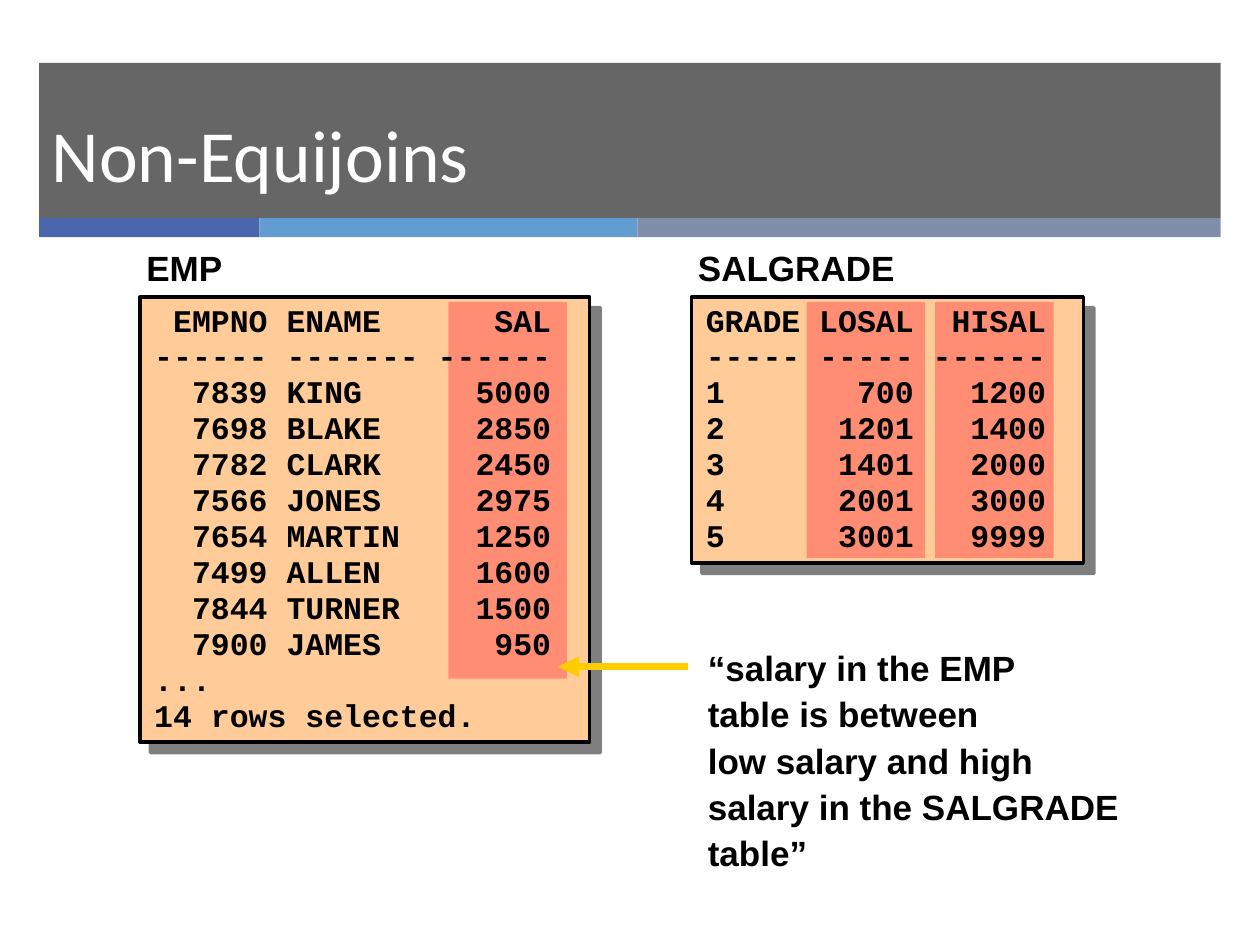
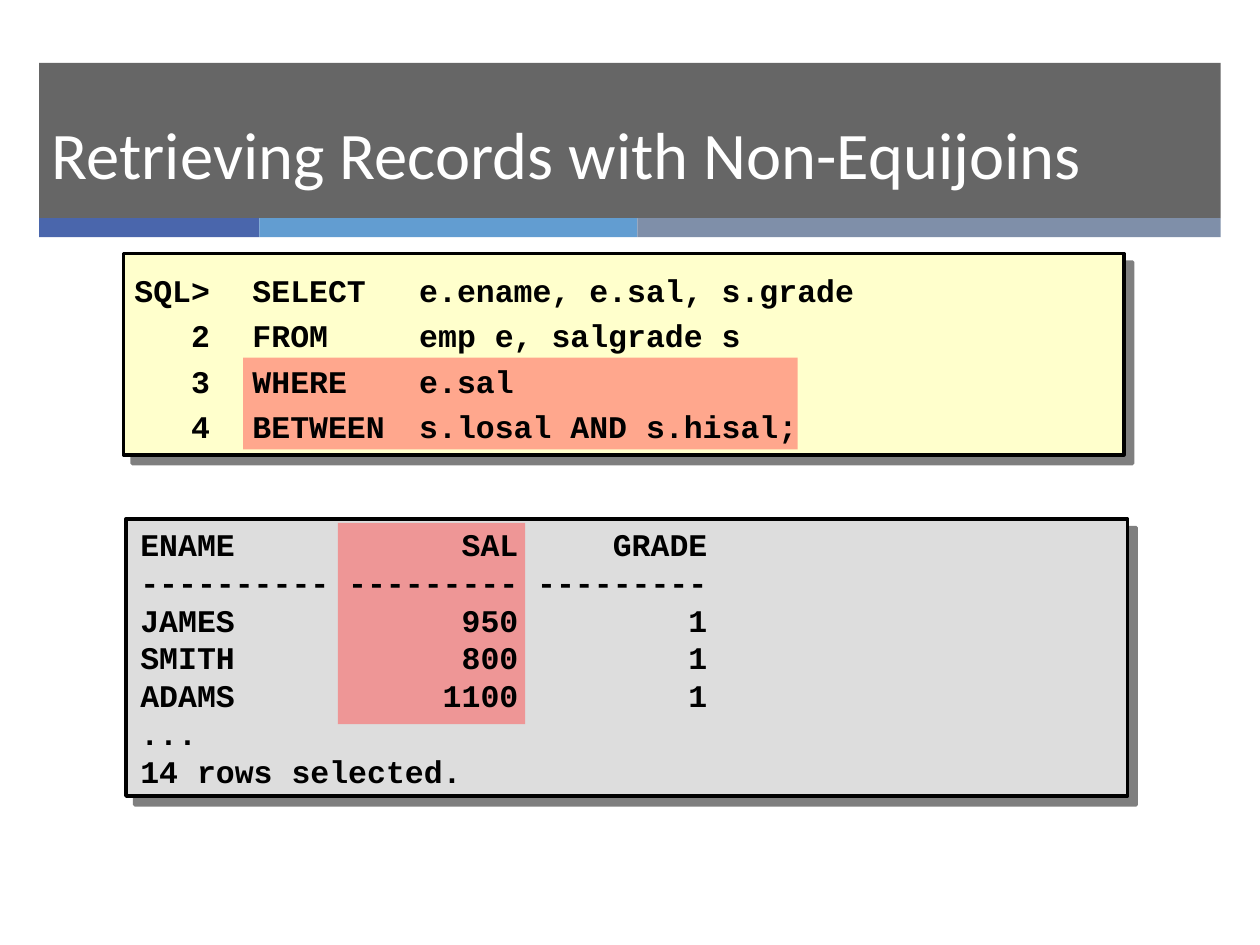
from dataclasses import dataclass

from lxml.etree import SubElement
from pptx import Presentation
from pptx.dml.color import RGBColor
from pptx.enum.shapes import MSO_CONNECTOR, MSO_SHAPE
from pptx.enum.text import MSO_ANCHOR, MSO_AUTO_SIZE, PP_ALIGN
from pptx.oxml.ns import qn
from pptx.util import Cm, Pt


@dataclass(frozen=True)
class Theme:
    """Colours, fonts and type sizes of the deck."""
    band: str = "262626"
    stripes: tuple = ("4A66AC", "629DD1", "7F8FA9")
    title: str = "FFFFFF"
    ink: str = "000000"
    data: str = "FFCC99"
    query: str = "FFFFCC"
    result: str = "DDDDDD"
    highlight: str = "FF5050"
    arrow: str = "FFCC00"
    title_font: str = "Calibri"
    text_font: str = "Arial"
    code_font: str = "Courier New"
    text_size: int = 20
    code_size: int = 18
    char_width: float = 10.8


@dataclass
class Console:
    """A shadowed panel of code; tabs count characters, highlights start at its corner."""
    box: tuple
    fill: str
    text: str
    tabs: tuple
    highlights: tuple
    spacing: float = 1.0
    shadow: float = 8.5
    shift: float = 0.04
    anchor: MSO_ANCHOR = MSO_ANCHOR.TOP


T = Theme()

EMP = """\tEMPNO\tENAME\tSAL
\t------\t-------\t------
\t7839\tKING\t5000
\t7698\tBLAKE\t2850
\t7782\tCLARK\t2450
\t7566\tJONES\t2975
\t7654\tMARTIN\t1250
\t7499\tALLEN\t1600
\t7844\tTURNER\t1500
\t7900\tJAMES\t950
...
14 rows selected."""

SALGRADE = """GRADE\tLOSAL\tHISAL
-----\t-----\t------
1\t700\t1200
2\t1201\t1400
3\t1401\t2000
4\t2001\t3000
5\t3001\t9999"""

NOTE = """“salary in the EMP
table is between
low salary and high
salary in the SALGRADE
table”"""

QUERY = """\tSQL>\tSELECT\te.ename, e.sal, s.grade
\t2\tFROM\temp e, salgrade s
\t3\tWHERE\te.sal
\t4\tBETWEEN\ts.losal AND s.hisal;"""

RESULT = """ENAME\tSAL\tGRADE
----------\t---------\t---------
JAMES\t950\t1
SMITH\t800\t1
ADAMS\t1100\t1
...
14 rows selected."""


def cm(*lengths):
    """Convert centimetres to slide units."""
    return [Cm(n) for n in lengths]


def add_rect(slide, box, color, alpha=100):
    """Add a flat rectangle, see-through below 100 percent alpha."""
    sp = slide.shapes.add_shape(MSO_SHAPE.RECTANGLE, *cm(*box))
    sp.shadow.inherit = False
    sp.fill.solid()
    sp.fill.fore_color.rgb = RGBColor.from_string(color)
    sp.line.fill.background()
    if alpha < 100:
        clr = sp._element.spPr.find(f"{qn('a:solidFill')}/{qn('a:srgbClr')}")
        SubElement(clr, qn("a:alpha"), val=str(alpha * 1000))
    return sp


def add_shadow(sp, distance):
    """Give a shape a hard half-transparent shadow to the lower right."""
    effects = sp._element.spPr.find(qn("a:effectLst"))
    shadow = SubElement(effects, qn("a:outerShdw"), blurRad="0", dist=str(Pt(distance)),
                        dir="2700000", algn="ctr", rotWithShape="0")
    clr = SubElement(shadow, qn("a:srgbClr"), val=T.ink)
    SubElement(clr, qn("a:alpha"), val="50000")


def style(p, font, size, color, bold=False):
    """Set the font of a paragraph."""
    p.font.name, p.font.size, p.font.bold = font, Pt(size), bold
    p.font.color.rgb = RGBColor.from_string(color)


def add_text(slide, box, text, font, size, spacing=1.0, tabs=(), wrap=False):
    """Add a bold text box, one paragraph a line, with optional tab stops."""
    tf = slide.shapes.add_textbox(*cm(*box)).text_frame
    tf.word_wrap = wrap
    tf.text = text
    for p in tf.paragraphs:
        p.line_spacing = spacing
        if tabs:
            tab_list = SubElement(p._p.get_or_add_pPr(), qn("a:tabLst"))
            for align, column in tabs:
                SubElement(tab_list, qn("a:tab"), pos=str(Pt(column * T.char_width)), algn=align)
        style(p, font, size, T.ink, bold=True)
    return tf


def add_console(slide, console):
    """Draw a panel, its highlights and the tabbed code on top."""
    x, y, w, h = console.box
    panel = add_rect(slide, console.box, console.fill)
    panel.line.color.rgb = RGBColor.from_string(T.ink)
    panel.line.width = Pt(2)
    add_shadow(panel, console.shadow)
    for dx, dy, width, height in console.highlights:
        add_rect(slide, (x + dx, y + dy, width, height), T.highlight, 50)
    tf = add_text(slide, (x + console.shift, y, w, h), console.text, T.code_font,
                  T.code_size, console.spacing, console.tabs, wrap=True)
    tf.vertical_anchor = console.anchor


def add_label(slide, console, name):
    """Write the name of a table above its panel."""
    x, y, _, _ = console.box
    add_text(slide, (x - 0.12, y - 1.14, 4.5, 1.09), name, T.text_font, T.text_size)


def add_arrow(slide, start, end):
    """Draw a thick arrow between two points."""
    line = slide.shapes.add_connector(MSO_CONNECTOR.STRAIGHT, *cm(*start, *end))
    line.line.color.rgb = RGBColor.from_string(T.arrow)
    line.line.width = Pt(4)
    SubElement(line.line._get_or_add_ln(), qn("a:tailEnd"), type="triangle")
    SubElement(line._element.spPr, qn("a:effectLst"))


def add_header(slide, box, title_height=2.69):
    """Draw the band and stripes on the slide's layout and place its title."""
    layout = slide.slide_layout
    x, y, w, h = box
    parts = [add_rect(slide, box, T.band, 70)]
    left = x
    for color, width in zip(T.stripes, (4.44, 7.62, w - 12.06)):
        parts.append(add_rect(slide, (left, y + h, width, 0.38), color))
        left += width
    for i, sp in enumerate(parts):
        layout.shapes._spTree.insert(2 + i, sp._element)
    title = layout.placeholders[0]
    title.left, title.top, title.width, title.height = cm(
        x, y + h - title_height + 0.03, w, title_height)


def set_title(slide, text, size):
    """Fill the title placeholder."""
    tf = slide.shapes.title.text_frame
    tf.text = text
    tf.vertical_anchor = MSO_ANCHOR.MIDDLE
    tf.auto_size = MSO_AUTO_SIZE.NONE
    p = tf.paragraphs[0]
    p.alignment = PP_ALIGN.LEFT
    style(p, T.title_font, size, T.title)


def build_tables_slide(slide):
    """Show the two tables and how their salaries relate."""
    set_title(slide, "Non-Equijoins", 42)
    emp = Console((2.82, 5.99, 9.07, 8.97), T.data, EMP,
                  (("r", 6), ("l", 7), ("r", 21)), ((6.22, 0.1, 2.39, 7.59),), 0.95)
    grades = Console((13.94, 5.99, 7.9, 5.36), T.data, SALGRADE, (("r", 11), ("r", 18)),
                     tuple((dx, 0.1, 2.39, 5.16) for dx in (2.32, 4.91)), 0.95)
    for console, name in ((emp, "EMP"), (grades, "SALGRADE")):
        add_console(slide, console)
        add_label(slide, console, name)
    add_text(slide, (14.02, 12.83, 8.81, 4.9), NOTE, T.text_font, T.text_size, 1.1)
    add_arrow(slide, (13.87, 13.44), (11.25, 13.44))


def build_query_slide(slide):
    """Show the query and its result."""
    set_title(slide, "Retrieving Records with Non-Equijoins", 38)
    add_console(slide, Console((2.49, 5.11, 20.17, 4.06), T.query, QUERY,
                               (("r", 4), ("l", 6.25), ("l", 15.07)),
                               ((2.41, 2.1, 11.18, 1.85),), 1.2, 7.1, -0.03,
                               MSO_ANCHOR.MIDDLE))
    add_console(slide, Console((2.54, 10.46, 20.19, 5.59), T.result, RESULT,
                               (("r", 20), ("r", 30)), ((4.27, 0.08, 3.78, 4.06),),
                               shadow=7.1))


def main():
    """Build the deck."""
    prs = Presentation()
    prs.slide_width, prs.slide_height = cm(25.4, 19.05)
    layout = prs.slide_layouts[5]
    tables, query = (prs.slides.add_slide(layout) for _ in range(2))
    add_header(tables, (0.79, 1.27, 23.82, 3.13))
    build_tables_slide(tables)
    build_query_slide(query)
    prs.save("out.pptx")


if __name__ == "__main__":
    main()
